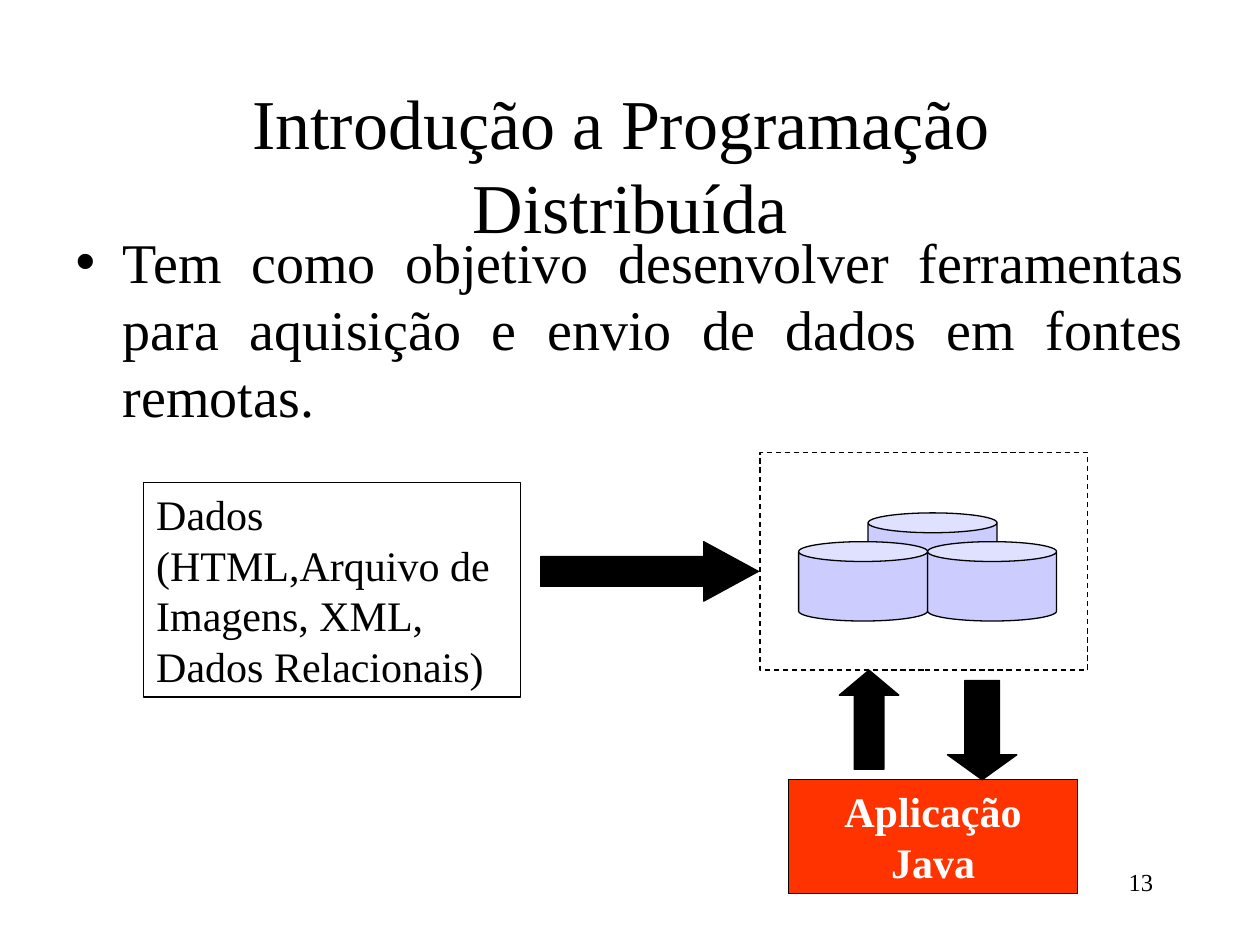
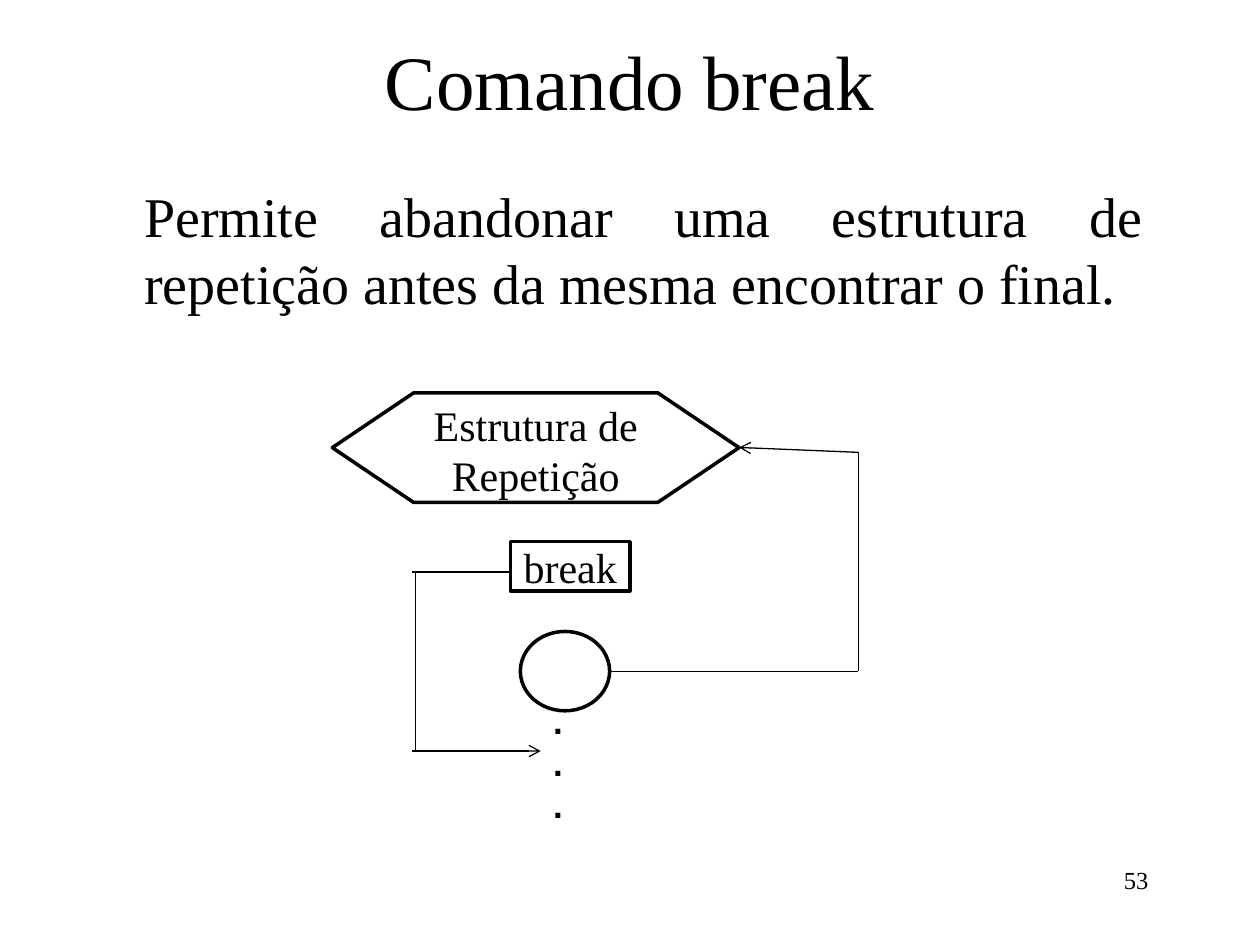
import copy

import pptx
import pptx.dml.color
import pptx.enum.dml
import pptx.enum.shapes
import pptx.enum.text
import pptx.oxml.ns
import pptx.util

Cm, Pt = pptx.util.Cm, pptx.util.Pt
qn = pptx.oxml.ns.qn
SHAPE = pptx.enum.shapes.MSO_SHAPE
ALIGN = pptx.enum.text.PP_ALIGN
ANCHOR = pptx.enum.text.MSO_ANCHOR

BLACK, WHITE, LILAC, RED = "000000", "FFFFFF", "CCCCFF", "FF3300"
SERIF = "Times New Roman"
THIN, THICK = 0.75, 2


def color(hex_code):
    return pptx.dml.color.RGBColor.from_string(hex_code)


def set_all(target, values):
    for name, value in values.items():
        setattr(target, name, value)


def place(sp, box):
    set_all(sp, dict(zip(("left", "top", "width", "height"), map(Cm, box))))


def shift(origin, box):
    """Move a box given relative to origin to its place on the slide."""
    return (origin[0] + box[0], origin[1] + box[1], *box[2:])


def write(tf, lines, size, font=None, para=None, anchor=ANCHOR.TOP, wrap=True):
    """Fill a text frame, one paragraph per line, in one format."""
    set_all(tf, {"word_wrap": wrap, "vertical_anchor": anchor,
                 "auto_size": pptx.enum.text.MSO_AUTO_SIZE.NONE})
    font_values = {"name": SERIF, "size": Pt(size), "bold": False} | (font or {})
    hex_code = font_values.pop("hex", BLACK)
    for i, line in enumerate(lines):
        p = tf.add_paragraph() if i else tf.paragraphs[0]
        p.text = line
        set_all(p, {"alignment": ALIGN.LEFT} | (para or {}))
        for r in p.runs:
            set_all(r.font, font_values)
            r.font.color.rgb = color(hex_code)
        for br in p._p.findall(qn("a:br")):
            br.append(copy.deepcopy(p.runs[0]._r.rPr))


def add_shape(s, kind, box, fill=None, width=THIN, adj=()):
    sp = s.shapes.add_shape(kind, *map(Cm, box))
    sp.shadow.inherit = False
    if fill:
        sp.fill.solid()
        sp.fill.fore_color.rgb = color(fill)
    else:
        sp.fill.background()
    sp.line.color.rgb = color(BLACK)
    sp.line.width = Pt(width)
    for i, value in enumerate(adj):
        sp.adjustments[i] = value
    return sp


def add_path(s, origin, points, arrow=False):
    """Join points with straight lines, with an arrowhead on the last if asked."""
    for start, end in zip(points, points[1:]):
        ends = shift(origin, start) + shift(origin, end)
        line = s.shapes.add_connector(pptx.enum.shapes.MSO_CONNECTOR.STRAIGHT,
                                      *map(Cm, ends))
        line.line.color.rgb = color(BLACK)
        line.line.width = Pt(THIN)
        spPr = line._element.spPr
        spPr.append(spPr.makeelement(qn("a:effectLst"), {}))
    if arrow:
        ln = line.line._get_or_add_ln()
        ln.append(ln.makeelement(qn("a:tailEnd"), {"type": "arrow"}))


def add_slide(prs, title, title_box, title_size, body, body_box, number, number_box):
    s = prs.slides.add_slide(prs.slide_layouts[1])
    title_sp, body_sp = s.placeholders[0], s.placeholders[1]
    place(title_sp, title_box)
    write(title_sp.text_frame, [title], title_size, anchor=ANCHOR.MIDDLE,
          para={"alignment": ALIGN.CENTER})
    place(body_sp, body_box)
    write(body_sp.text_frame, [body], 32,
          para={"alignment": ALIGN.JUSTIFY, "space_before": Pt(8)})
    number_sp = s.shapes.add_textbox(*map(Cm, number_box))
    write(number_sp.text_frame, [number], 14, para={"alignment": ALIGN.RIGHT})
    return s


def draw_data_store(s, origin):
    store = add_shape(s, SHAPE.RECTANGLE, shift(origin, (0, 0, 6.6, 4.39)))
    store.line.dash_style = pptx.enum.dml.MSO_LINE.DASH
    for x, y in ((2.18, 1.22), (3.38, 1.8), (0.78, 1.8)):
        add_shape(s, SHAPE.CAN, shift(origin, (x, y, 2.6, 1.6)), LILAC, adj=[0.25])


def draw_data_flow(s, origin):
    draw_data_store(s, shift(origin, (12.42, 0)))
    sources = add_shape(s, SHAPE.RECTANGLE, shift(origin, (0, 0.61, 7.6, 4.32)))
    write(sources.text_frame,
          ["Dados (HTML,Arquivo de Imagens, XML, Dados Relacionais)"], 24,
          para={"space_before": Pt(15)})
    app = add_shape(s, SHAPE.RECTANGLE, shift(origin, (13, 6.6, 5.82, 2.29)), RED)
    write(app.text_frame, ["Aplicação Java"], 24, {"hex": WHITE, "bold": True},
          {"alignment": ALIGN.CENTER, "space_before": Pt(15)})
    for kind, box, head in (
            (SHAPE.RIGHT_ARROW, (8, 1.8, 4.39, 1.2), 0.92),
            (SHAPE.UP_ARROW, (14.02, 4.39, 1.2, 2), 0.42),
            (SHAPE.DOWN_ARROW, (16.2, 4.6, 1.4, 2), 0.36)):
        add_shape(s, kind, shift(origin, box), BLACK, adj=[0.5, head])


def draw_break_flow(s, origin):
    centered = {"alignment": ALIGN.CENTER}
    loop = add_shape(s, SHAPE.FLOWCHART_PREPARATION,
                     shift(origin, (0, 0, 8.2, 2.21)), WHITE, THICK)
    write(loop.text_frame, ["Estrutura de Repetição"], 24, para=centered)
    add_shape(s, SHAPE.FLOWCHART_CONNECTOR, shift(origin, (3.79, 4.81, 1.8, 1.6)),
              WHITE, THICK)
    command = add_shape(s, SHAPE.FLOWCHART_PROCESS,
                        shift(origin, (3.59, 3, 2.41, 0.99)), WHITE, THICK)
    write(command.text_frame, ["break"], 24, para=centered, wrap=False,
          anchor=ANCHOR.MIDDLE)
    add_path(s, origin, [(5.59, 5.61), (10.6, 5.61), (10.6, 1.2), (8.2, 1.1)], True)
    add_path(s, origin, [(1.6, 3.61), (3.59, 3.61)])
    add_path(s, origin, [(1.68, 3.61), (1.68, 7.22)])
    add_path(s, origin, [(1.6, 7.22), (4.2, 7.22)], True)
    dots = s.shapes.add_textbox(*map(Cm, shift(origin, (4.2, 6.05, 2, 2.79))))
    write(dots.text_frame, ["."] * 3, 20, {"name": "Arial", "bold": True})


def main():
    prs = pptx.Presentation()
    prs.slide_width, prs.slide_height = Cm(25.4), Cm(19.05)

    s = add_slide(
        prs, "Introdução a Programação \vDistribuída", (1.9, 1.7, 21.6, 3.18), 40,
        "Tem como objetivo desenvolver ferramentas para aquisição e envio de dados "
        "em fontes remotas.", (1.27, 4.45, 22.86, 4.47),
        "13", (18.2, 17.35, 5.3, 1.27))
    draw_data_flow(s, (2.9, 9.12))

    s = add_slide(
        prs, "Comando break", (1.9, 0.71, 21.6, 1.8), 44,
        "Permite abandonar uma estrutura de repetição antes da mesma encontrar "
        "o final.", (1.7, 3.53, 21.6, 3.43),
        "53", (22.1, 17.32, 1.3, 1.27))
    pPr = s.placeholders[1].text_frame.paragraphs[0]._p.get_or_add_pPr()
    pPr.set("indent", "0")
    pPr.append(pPr.makeelement(qn("a:buNone"), {}))
    draw_break_flow(s, (6.7, 7.92))

    prs.save("out.pptx")


if __name__ == "__main__":
    main()
